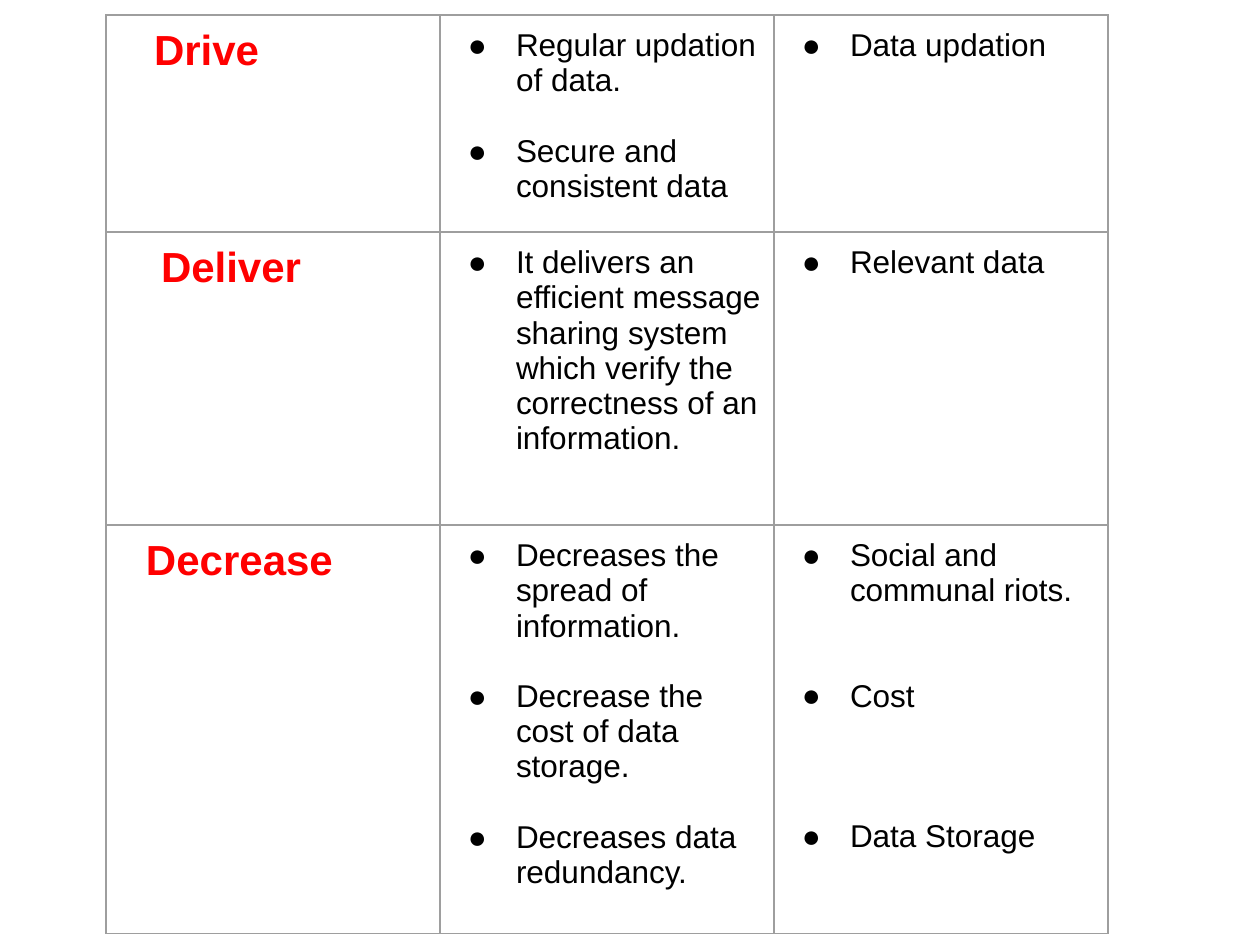
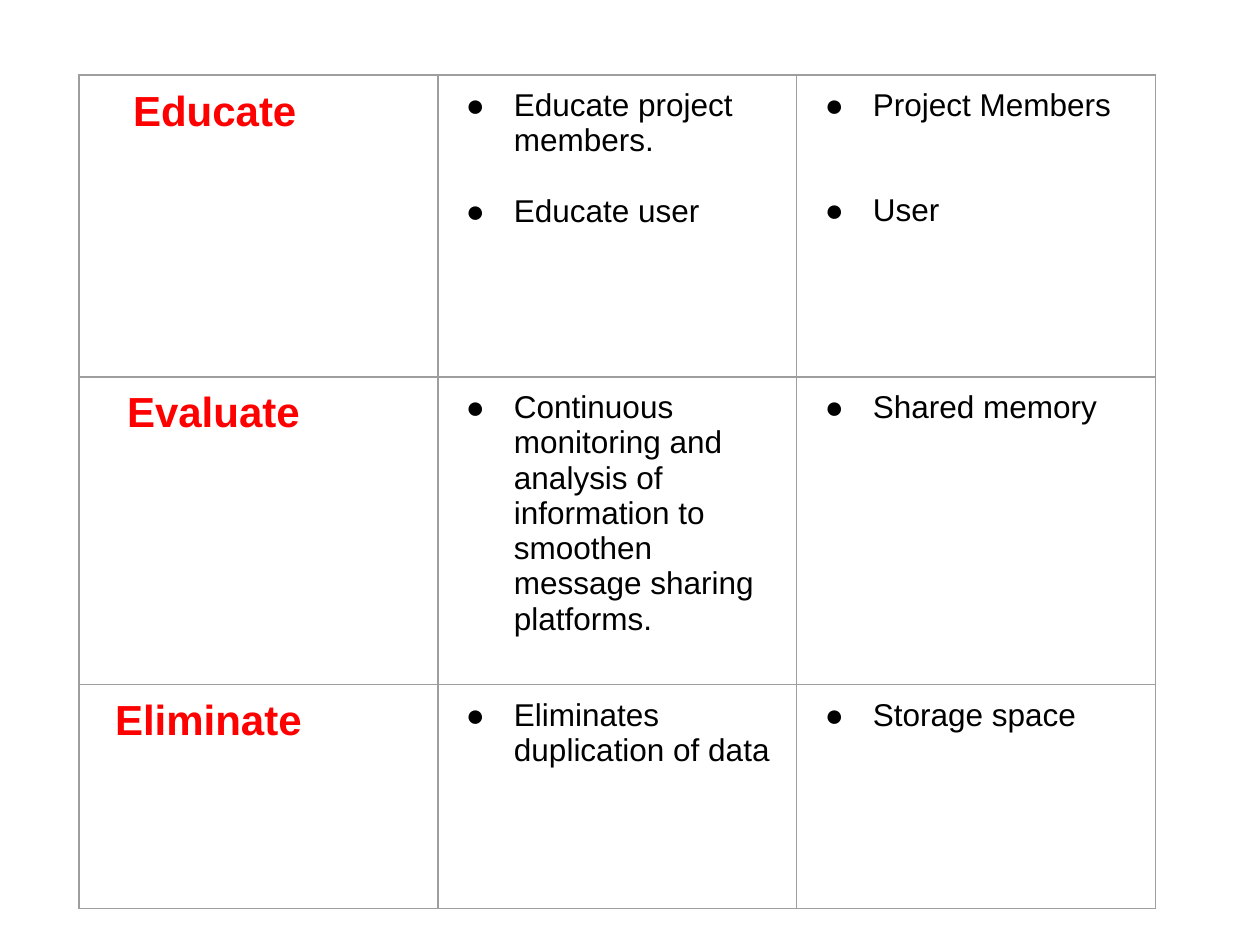
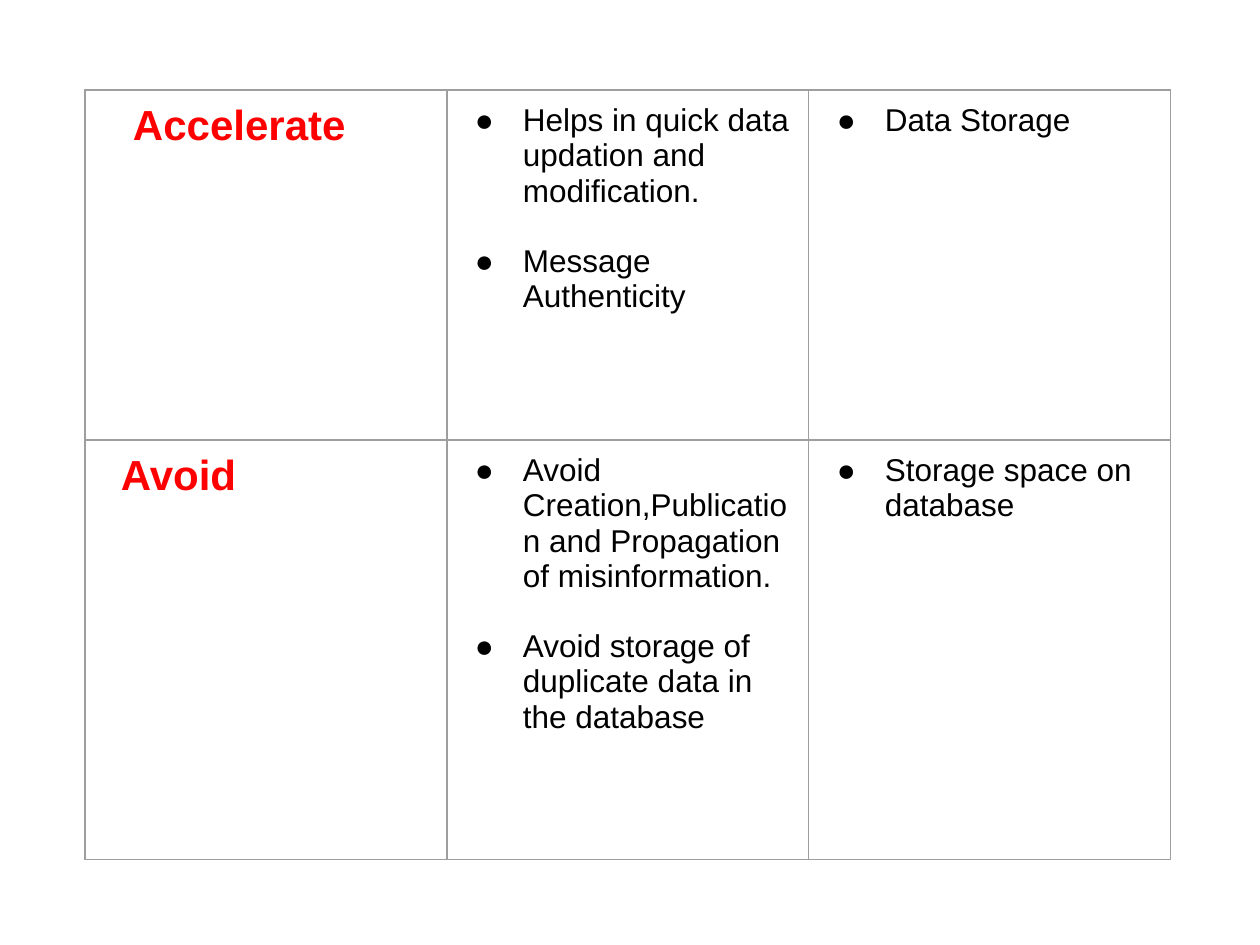
from lxml.etree import SubElement
from pptx import Presentation
from pptx.dml.color import RGBColor
from pptx.oxml.ns import qn
from pptx.util import Emu, Pt

PX = 914400 / 126
COLORS = {"heading": "FF0000", "body": "000000", "border": "9E9E9E"}
FONT = "Arial"
HEADING_SIZE, BODY_SIZE = 24, 18
CELL_MARGIN = 13
BULLET_INDENT, BULLET_HANG = 63, 48
BLANK_LINE = 35
BORDER_WIDTH = Pt(0.75)

ACTION_TABLES = [
    {
        "left": 106, "top": 15, "column": 334, "heights": [217, 293, 409],
        "rows": [
            ("Drive", 35,
             [("Regular updation of data.", 0), ("Secure and consistent data", 1)],
             [("Data updation", 0)]),
            ("Deliver", 42,
             [("It delivers an efficient message sharing system which verify "
               "the correctness of an information.", 0)],
             [("Relevant data", 0)]),
            ("Decrease", 27,
             [("Decreases the spread of information.", 0),
              ("Decrease the cost of data storage.", 1),
              ("Decreases data redundancy.", 1)],
             [("Social and communal riots.", 0), ("Cost", 2), ("Data Storage", 3)]),
        ],
    },
    {
        "left": 79, "top": 75, "column": 359, "heights": [302, 308, 224],
        "rows": [
            ("Educate", 41,
             [("Educate project members.", 0), ("Educate user", 1)],
             [("Project Members", 0), ("User", 2)]),
            ("Evaluate", 35,
             [("Continuous monitoring and analysis of information to smoothen "
               "message sharing platforms.", 0)],
             [("Shared memory", 0)]),
            ("Eliminate", 23,
             [("Eliminates duplication of data", 0)],
             [("Storage space", 0)]),
        ],
    },
    {
        "left": 85, "top": 90, "column": 362, "heights": [350, 420],
        "rows": [
            ("Accelerate", 35,
             [("Helps in quick data updation and modification.", 0),
              ("Message Authenticity", 1)],
             [("Data Storage", 0)]),
            ("Avoid", 23,
             [("Avoid Creation,Publication and Propagation of misinformation.", 0),
              ("Avoid storage of duplicate data in the database", 1)],
             [("Storage space on database", 0)]),
        ],
    },
]


def px(length):
    return Emu(round(length * PX))


class Deck:
    def __init__(self):
        self.presentation = Presentation()
        self.presentation.slide_width = px(1260)
        self.presentation.slide_height = px(945)
        self.slide = None

    def new_slide(self):
        self.slide = self.presentation.slides.add_slide(self.presentation.slide_layouts[6])

    def run(self, paragraph, text, size, color, bold=False):
        run = paragraph.add_run()
        run.text = text
        run.font.name = FONT
        run.font.size = Pt(size)
        run.font.bold = bold
        run.font.color.rgb = RGBColor.from_string(COLORS[color])

    def heading(self, cell, text, indent):
        paragraph = cell.text_frame.paragraphs[0]
        paragraph._p.get_or_add_pPr().set("marL", str(px(indent)))
        self.run(paragraph, text, HEADING_SIZE, "heading", bold=True)

    def bullets(self, cell, points):
        frame = cell.text_frame
        for number, (text, blank_lines) in enumerate(points):
            paragraph = frame.add_paragraph() if number else frame.paragraphs[0]
            paragraph.space_before = px(blank_lines * BLANK_LINE)
            properties = paragraph._p.get_or_add_pPr()
            properties.set("marL", str(px(BULLET_INDENT)))
            properties.set("indent", str(px(-BULLET_HANG)))
            bullet_color = SubElement(properties, qn("a:buClr"))
            SubElement(bullet_color, qn("a:srgbClr"), val=COLORS["body"])
            SubElement(properties, qn("a:buFont"), typeface=FONT)
            SubElement(properties, qn("a:buChar"), char="●")
            self.run(paragraph, text, BODY_SIZE, "body")

    def frame_cell(self, cell):
        cell.margin_left = cell.margin_right = px(CELL_MARGIN)
        cell.margin_top = cell.margin_bottom = px(CELL_MARGIN)
        properties = cell._tc.get_or_add_tcPr()
        for side in ("lnL", "lnR", "lnT", "lnB"):
            border = SubElement(properties, qn(f"a:{side}"), w=str(BORDER_WIDTH))
            fill = SubElement(border, qn("a:solidFill"))
            SubElement(fill, qn("a:srgbClr"), val=COLORS["border"])
        cell.fill.background()

    def action_table(self, left, top, column, heights, rows):
        table = self.slide.shapes.add_table(
            len(rows), 3, px(left), px(top), px(3 * column), px(sum(heights))).table
        table.first_row = table.horz_banding = False
        for table_column in table.columns:
            table_column.width = px(column)
        for row, height, (action, indent, effects, targets) in zip(table.rows, heights, rows):
            row.height = px(height)
            action_cell, effects_cell, targets_cell = row.cells
            for cell in (action_cell, effects_cell, targets_cell):
                self.frame_cell(cell)
            self.heading(action_cell, action, indent)
            self.bullets(effects_cell, effects)
            self.bullets(targets_cell, targets)


def main():
    deck = Deck()
    for actions in ACTION_TABLES:
        deck.new_slide()
        deck.action_table(**actions)
    deck.presentation.save("out.pptx")


if __name__ == "__main__":
    main()
